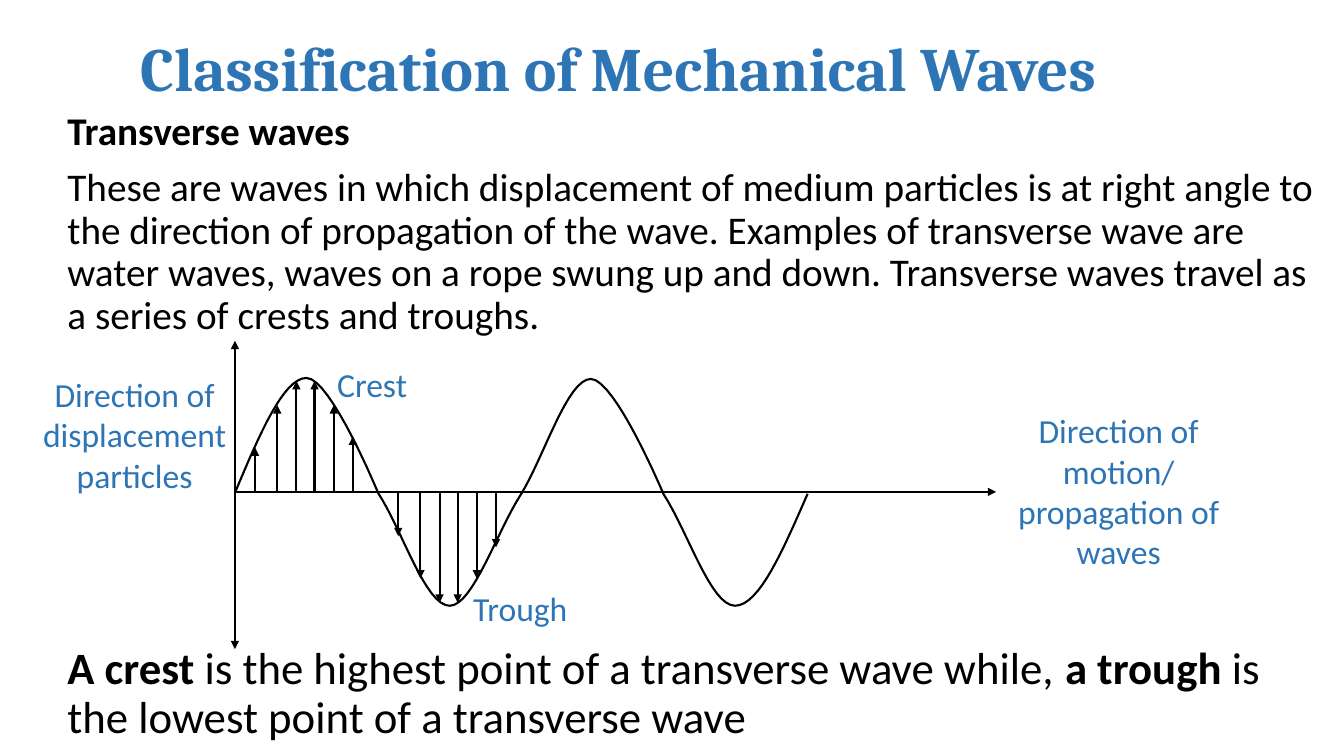
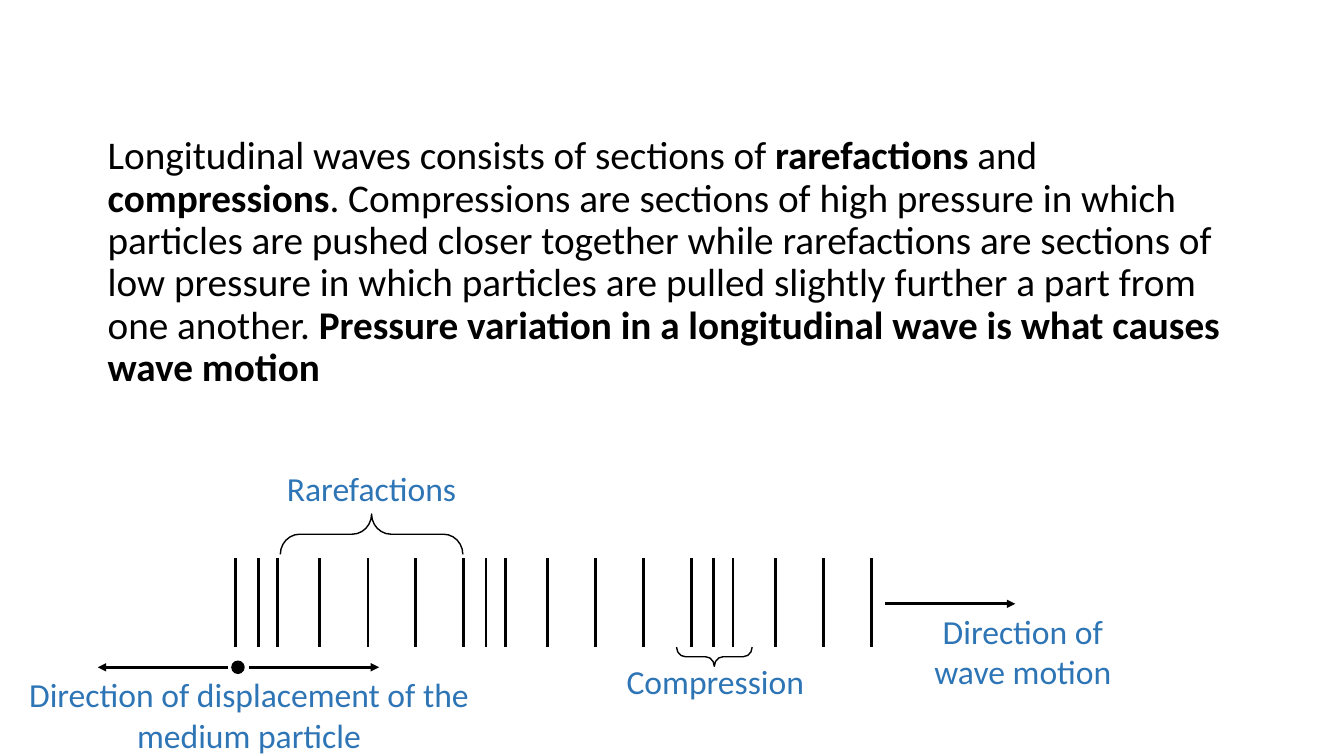
from lxml import etree
from pptx import Presentation
from pptx import util as u
from pptx.dml.color import RGBColor
from pptx.enum import shapes, text
from pptx.oxml import ns

Inches, Pt = u.Inches, u.Pt
COLORS = {"ink": "000000", "accent": "2E75B6"}
TITLE = {"name": "Cambria", "size": Pt(44), "bold": True}
BODY = {"name": "Calibri", "size": Pt(28)}
SUMMARY = {"name": "Calibri", "size": Pt(32)}
LABEL = {"name": "Calibri", "size": Pt(24)}


def rgb(key):
    return RGBColor.from_string(COLORS[key])


def add_run(p, words, fmt, color, **extra):
    r = p.add_run()
    r.text = words
    for name, value in {**fmt, **extra}.items():
        setattr(r.font, name, value)
    r.font.color.rgb = rgb(color)


def add_title(s, box, words):
    sp = s.shapes.title
    for name, value in zip(("left", "top", "width", "height"), box):
        setattr(sp, name, Inches(value))
    tf = sp.text_frame
    tf.vertical_anchor = text.MSO_ANCHOR.MIDDLE
    p = tf.paragraphs[0]
    p.alignment = text.PP_ALIGN.LEFT
    p.line_spacing = 0.9
    add_run(p, words, TITLE, "accent")


def add_text_box(s, box):
    tf = s.shapes.add_textbox(*map(Inches, box)).text_frame
    tf.word_wrap = True
    return tf


def add_body(s, box, paragraphs, fmt=BODY):
    """Each paragraph is a list of (words, bold) runs."""
    tf = add_text_box(s, box)
    for i, runs in enumerate(paragraphs):
        p = tf.add_paragraph() if i else tf.paragraphs[0]
        p.line_spacing = 0.9
        if i:
            p.space_before = Pt(10)
        for words, bold in runs:
            add_run(p, words, fmt, "ink", bold=bold)


def add_label(s, box, words):
    p = add_text_box(s, box).paragraphs[0]
    p.alignment = text.PP_ALIGN.CENTER
    add_run(p, words, LABEL, "accent")


def set_line(sp, width):
    sp.line.color.rgb = rgb("ink")
    sp.line.width = Pt(width)


def add_line(parent, start, end, width, arrows=()):
    """Arrows names the ends with a triangle: headEnd, then tailEnd."""
    sp = parent.shapes.add_connector(
        shapes.MSO_CONNECTOR.STRAIGHT, *map(Inches, (*start, *end)))
    set_line(sp, width)
    for arrow in arrows:
        etree.SubElement(sp.line._get_or_add_ln(), ns.qn("a:" + arrow), type="triangle")
    etree.SubElement(sp._element.spPr, ns.qn("a:effectLst"))


def add_shape(s, kind, box):
    sp = s.shapes.add_shape(kind, *map(Inches, box))
    sp.shadow.inherit = False
    set_line(sp, 1)
    return sp


def add_brace(s, box, rotation, curl):
    """A left brace turned to lie flat in the given box."""
    x, y, w, h = box
    sp = add_shape(s, shapes.MSO_SHAPE.LEFT_BRACE,
                   (x + (w - h) / 2, y + (h - w) / 2, h, w))
    sp.rotation = rotation
    sp.fill.background()
    sp.adjustments[0] = curl


def add_curve(s, x, y, start, segments, steps=16):
    """Draw joined cubic curves; every segment has two controls and an end."""
    points = []
    knot = start
    for c1, c2, end in segments:
        for i in range(1, steps + 1):
            t = i / steps
            weights = ((1 - t) ** 3, 3 * t * (1 - t) ** 2, 3 * t * t * (1 - t), t ** 3)
            px, py = (sum(k * v for k, v in zip(weights, axis))
                      for axis in zip(knot, c1, c2, end))
            points.append((Inches(x + px), Inches(y + py)))
        knot = end
    builder = s.shapes.build_freeform(Inches(x + start[0]), Inches(y + start[1]))
    builder.add_line_segments(points, close=False)
    sp = builder.convert_to_shape()
    sp.shadow.inherit = False
    sp.fill.background()
    set_line(sp, 1.5)


def transverse_diagram(s, box):
    x, y, w, h = box
    mid = y + 1.5

    # Axes
    add_line(s, (x, mid), (x + w, mid), 1.5, ["tailEnd"])
    add_line(s, (x, y), (x, y + h), 1.5, ["headEnd", "tailEnd"])

    # Wave, measured from the axis crossing
    add_curve(s, x, mid, (0, 0.01), [
        ((0.24, -0.56), (0.48, -1.13), (0.71, -1.13)),
        ((0.95, -1.13), (1.42, 0.01), (1.42, 0.01)),
        ((1.66, 0.38), (1.89, 1.13), (2.13, 1.13)),
        ((2.36, 1.13), (2.6, 0.39), (2.84, 0.02)),
        ((3.07, -0.36), (3.3, -1.12), (3.53, -1.12)),
        ((3.77, -1.12), (4.25, 0.02), (4.25, 0.02)),
        ((4.49, 0.39), (4.72, 1.13), (4.96, 1.13)),
        ((5.2, 1.13), (5.44, 0.57), (5.68, 0.02)),
    ])

    # Displacement arrows: crest upwards, trough downwards
    offsets = (0.2, 0.42, 0.61, 0.79, 0.98, 1.17)
    lengths = (0.44, 0.86, 1.1, 1.1, 0.86, 0.55)
    for shift, sign in ((0, -1), (1.42, 1)):
        for dx, length in zip(offsets, lengths):
            ax = x + shift + dx
            add_line(s, (ax, mid), (ax, mid + sign * length), 1.5, ["tailEnd"])

    # Labels
    for dx, dy, lw, lh, words in (
        (0.75, 0.18, 1.22, 0.5, "Crest"),
        (-2.09, 0.28, 2.19, 1.31, "Direction of displacement particles"),
        (2.22, 2.4, 1.22, 0.5, "Trough"),
        (7.39, 0.64, 2.75, 1.72, "Direction of motion/ propagation of waves"),
    ):
        add_label(s, (x + dx, y + dy, lw, lh), words)


def longitudinal_diagram(s, box):
    x, y, w, h = box

    # Layers of the medium: three close, three spread, repeated
    layers = s.shapes.add_group_shape()
    for cycle in range(3):
        for dx in (0, 0.22, 0.41, 0.83, 1.31, 1.78):
            bx = x + cycle * 2.26 + dx
            add_line(layers, (bx, y), (bx, y + h), 2)

    # Braces
    add_brace(s, (x + 0.44, y - 0.44, 1.81, 0.4), 90, 0.48)
    add_brace(s, (x + 4.37, y + 0.88, 0.75, 0.19), 270, 0.46)

    # Particle and the directions of movement
    for start, end, dy in ((0.13, 1.42, 1.08), (-0.08, -1.37, 1.08),
                           (w + 0.13, w + 1.42, 0.45)):
        add_line(s, (x + start, y + dy), (x + end, y + dy), 2, ["tailEnd"])
    particle = add_shape(s, shapes.MSO_SHAPE.OVAL, (x - 0.04, y + 1.02, 0.12, 0.12))
    particle.fill.solid()
    particle.fill.fore_color.rgb = rgb("ink")

    # Labels
    for dx, dy, lw, lh, words in (
        (0.21, -0.95, 2.27, 0.5, "Rarefactions"),
        (3.62, 0.97, 2.27, 0.5, "Compression"),
        (-2.22, 1.1, 4.7, 0.91, "Direction of displacement of the medium particle"),
        (6.67, 0.47, 2.27, 0.91, "Direction of wave motion"),
    ):
        add_label(s, (x + dx, y + dy, lw, lh), words)


def transverse_slide(prs):
    s = prs.slides.add_slide(prs.slide_layouts[5])
    add_title(s, (1.29, 0.12, 11.18, 1.17), "Classification of Mechanical Waves")
    add_body(s, (0.57, 1.06, 12.61, 2.4), [
        [("Transverse waves", True)],
        [("These are waves in which displacement of medium particles is at right angle "
          "to the direction of propagation of the wave. Examples of transverse wave are "
          "water waves, waves on a rope swung up and down. Transverse waves travel as "
          "a series of crests and troughs.", False)],
    ])
    transverse_diagram(s, (2.33, 3.38, 7.55, 3.06))
    add_body(s, (0.57, 6.36, 12.61, 1.14), [[
        ("A crest ", True),
        ("is the highest point of a transverse wave while, ", False),
        ("a trough ", True),
        ("is the lowest point of a transverse wave", False),
    ]], SUMMARY)


def longitudinal_slide(prs):
    s = prs.slides.add_slide(prs.slide_layouts[6])
    add_body(s, (0.97, 1.3, 11.5, 2.58), [[
        ("Longitudinal waves consists of sections of ", False),
        ("rarefactions", True),
        (" and ", False),
        ("compressions", True),
        (". Compressions are sections of high pressure in which particles are pushed "
         "closer together while rarefactions are sections of low pressure in which "
         "particles are pulled slightly further a part from one another. ", False),
        ("Pressure variation in a longitudinal wave is what causes wave motion", True),
    ]])
    longitudinal_diagram(s, (2.34, 5.54, 6.31, 0.88))


def main():
    prs = Presentation()
    prs.slide_width, prs.slide_height = Inches(13.33), Inches(7.5)
    transverse_slide(prs)
    longitudinal_slide(prs)
    prs.save("out.pptx")


if __name__ == "__main__":
    main()
